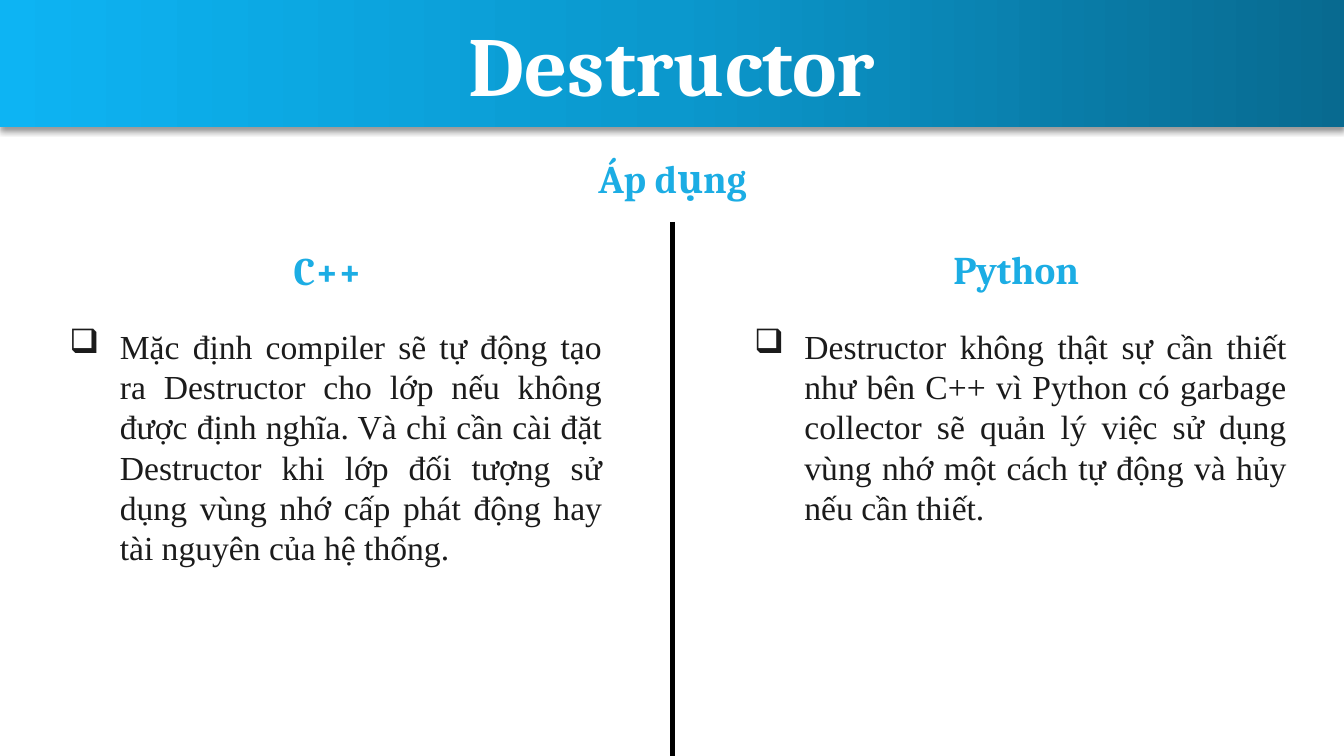
from copy import deepcopy

from lxml.etree import SubElement
from pptx import Presentation
from pptx.dml.color import RGBColor
from pptx.enum.shapes import MSO_CONNECTOR, MSO_SHAPE
from pptx.enum.text import PP_ALIGN
from pptx.oxml.ns import qn
from pptx.util import Inches, Pt

WHITE = RGBColor(0xFF, 0xFF, 0xFF)
BLACK = RGBColor(0x00, 0x00, 0x00)
INK = RGBColor(0x1B, 0x1B, 0x1B)
SKY = RGBColor(0x1C, 0xAD, 0xE4)
BANNER_COLORS = (
    RGBColor(0x08, 0x6A, 0x90),
    RGBColor(0x0B, 0x98, 0xCD),
    RGBColor(0x0D, 0xB4, 0xF3),
)

WIDTH, HEIGHT = 13.33, 7.5
CENTER = 6.67

COLUMNS = (
    (
        "C++", 2.38, 2.39, 0.59, 2.52,
        "Mặc định compiler sẽ tự động tạo ra Destructor cho lớp nếu không được "
        "định nghĩa. Và chỉ cần cài đặt Destructor khi lớp đối tượng sử dụng "
        "vùng nhớ cấp phát động hay tài nguyên của hệ thống.",
    ),
    (
        "Python", 9.21, 2.38, 7.38, 2.12,
        "Destructor không thật sự cần thiết như bên C++ vì Python có garbage "
        "collector sẽ quản lý việc sử dụng vùng nhớ một cách tự động và hủy "
        "nếu cần thiết.",
    ),
)


class SlideBuilder:
    heading_font = "Cambria"
    body_font = "Times New Roman"

    def __init__(self, slide):
        self.slide = slide

    def banner(self, height):
        band = self.slide.shapes.add_shape(
            MSO_SHAPE.RECTANGLE, 0, 0, Inches(WIDTH), Inches(height)
        )
        band.line.fill.background()
        band.fill.gradient()
        band.fill.gradient_angle = 180
        properties = band._element.spPr
        stop_list = properties.find(qn("a:gradFill")).find(qn("a:gsLst"))
        stop_list.append(deepcopy(stop_list[0]))
        for index, color in enumerate(BANNER_COLORS):
            stop = band.fill.gradient_stops[index]
            stop.position = index / 2
            stop.color.rgb = color
        band.shadow.inherit = False
        shadow = SubElement(
            properties.find(qn("a:effectLst")), qn("a:outerShdw"),
            blurRad=str(Pt(4)), dist=str(Pt(3)), dir="5400000",
            algn="t", rotWithShape="0",
        )
        shade = SubElement(shadow, qn("a:srgbClr"), val=str(BLACK))
        SubElement(shade, qn("a:alpha"), val="40000")

    def text(self, words, left, top, width, height, align):
        box = self.slide.shapes.add_textbox(
            Inches(left), Inches(top), Inches(width), Inches(height)
        )
        box.text_frame.word_wrap = True
        box.text_frame.text = words
        para = box.text_frame.paragraphs[0]
        para.alignment = align
        return para

    def style(self, para, font, size, color, bold=False):
        for span in para.runs:
            span.font.name = font
            span.font.size = Pt(size)
            span.font.bold = bold
            span.font.color.rgb = color

    def heading(self, words, left, top, width, height, size=28, color=SKY):
        para = self.text(words, left, top, width, height, PP_ALIGN.CENTER)
        self.style(para, self.heading_font, size, color, bold=True)

    def bullet(self, words, left, top, width, height):
        para = self.text(words, left, top, width, height, PP_ALIGN.JUSTIFY)
        properties = para._p.get_or_add_pPr()
        properties.set("marL", str(Inches(0.5)))
        properties.set("indent", str(Inches(-0.5)))
        SubElement(properties, qn("a:buChar"), char="❑")
        self.style(para, self.body_font, 24, INK)

    def divider(self, x, top, bottom):
        line = self.slide.shapes.add_connector(
            MSO_CONNECTOR.STRAIGHT, Inches(x), Inches(top), Inches(x), Inches(bottom)
        )
        line.line.color.rgb = BLACK
        line.line.width = Pt(3)
        SubElement(line._element.spPr, qn("a:effectLst"))


def main():
    deck = Presentation()
    deck.slide_width = Inches(WIDTH)
    deck.slide_height = Inches(HEIGHT)
    page = SlideBuilder(deck.slides.add_slide(deck.slide_layouts[6]))

    page.banner(1.26)
    page.heading("Destructor", 0, 0.07, WIDTH, 1.11, size=60, color=WHITE)
    page.heading("Áp dụng", 5.42, 1.48, 2.5, 0.57)
    page.divider(CENTER, 2.2, HEIGHT)
    for language, title_left, title_top, body_left, body_height, words in COLUMNS:
        page.heading(language, title_left, title_top, 1.74, 0.57)
        page.bullet(words, body_left, 3.18, 5.48, body_height)

    deck.save("out.pptx")


if __name__ == "__main__":
    main()
